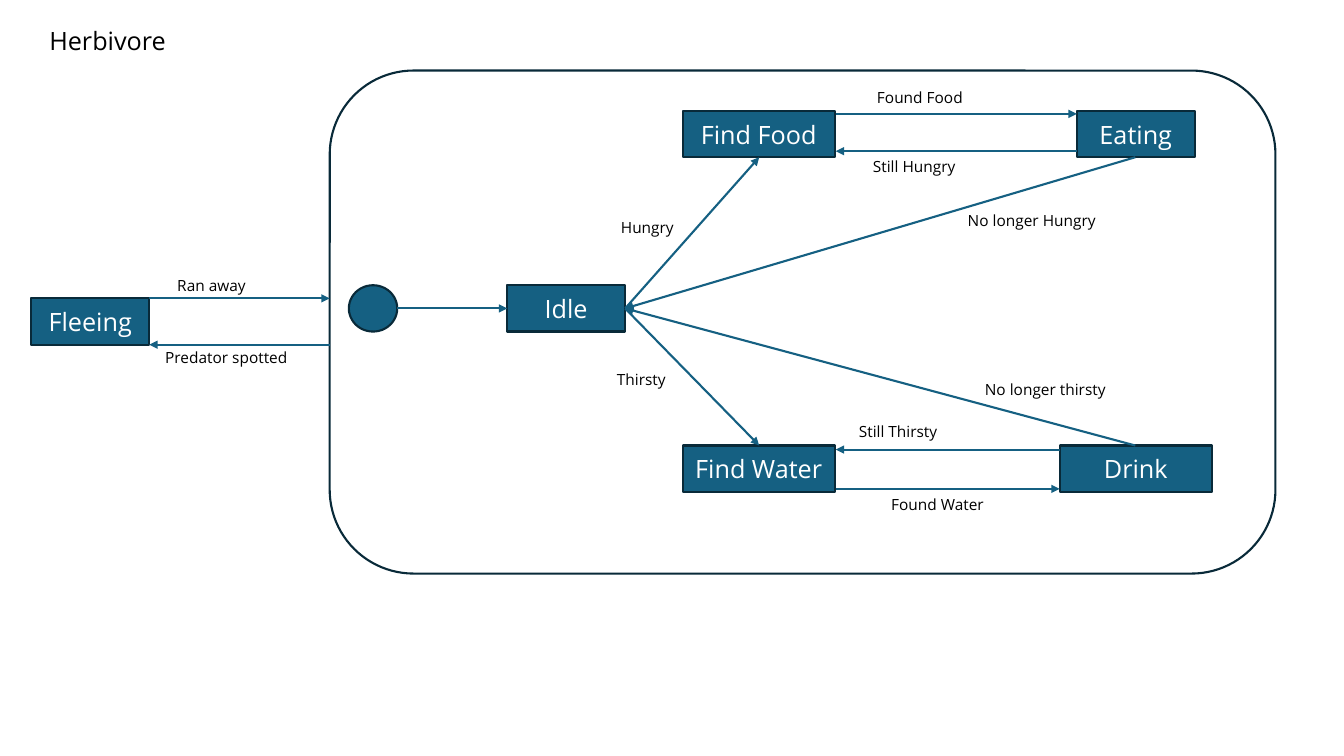
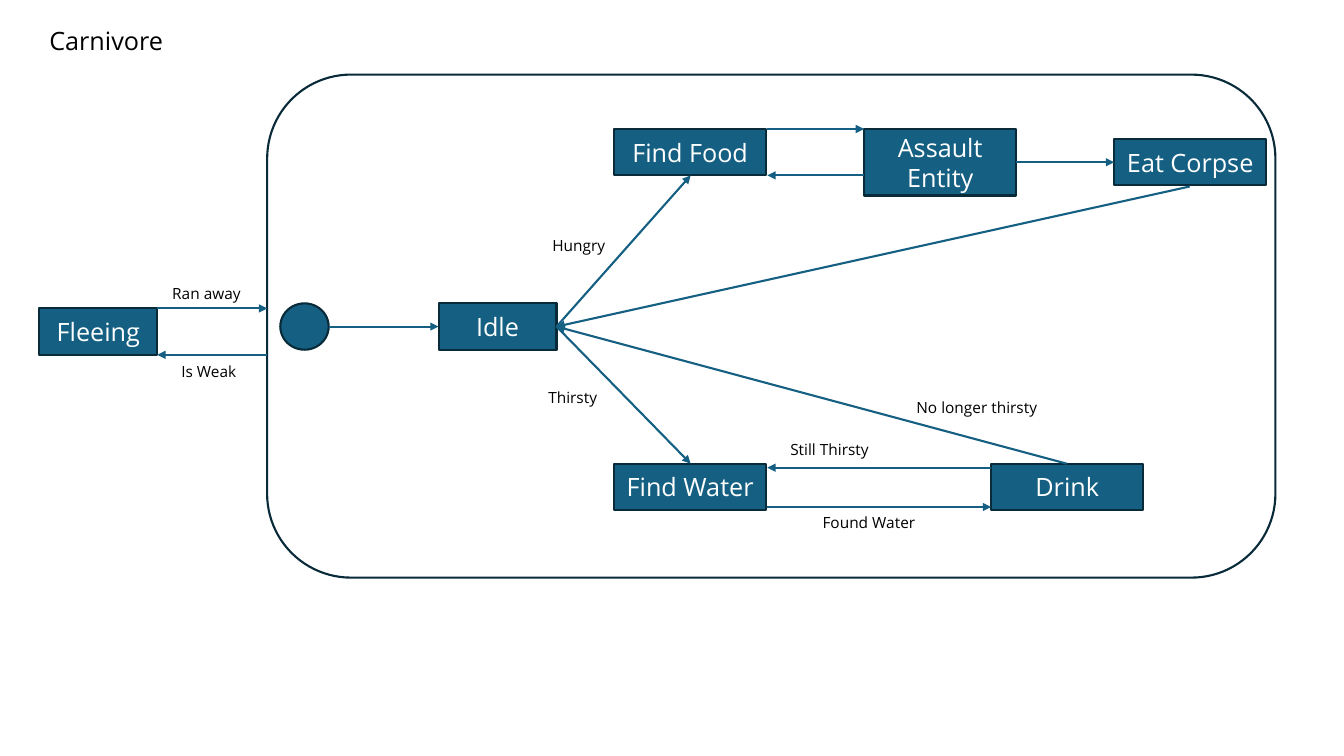
import pptx
import pptx.util
import pptx.dml.color
import pptx.enum.shapes
import pptx.enum.text
import pptx.oxml.ns
import lxml.etree

Inches = pptx.util.Inches
SHAPES = pptx.enum.shapes.MSO_SHAPE
COLOURS = {"state": "156082", "outline": "092A39", "white": "FFFFFF", "black": "000000"}
FONT = "Open Sans"
LINE_WIDTH = pptx.util.Pt(1.5)
NARROW, WIDE, STATE_HEIGHT = 1.17, 1.51, 0.46
LABEL_WIDTH, LABEL_HEIGHT = 1.8, 0.29


def rgb(name):
    return pptx.dml.color.RGBColor.from_string(COLOURS[name])


def add_box(page, text, left, top, width, height, kind=None, fill="state", size=18, colour="white"):
    place = [Inches(value) for value in (left, top, width, height)]
    if kind is None:
        box = page.shapes.add_textbox(*place)
    else:
        box = page.shapes.add_shape(kind, *place)
        box.shadow.inherit = False
        box.fill.solid()
        box.fill.fore_color.rgb = rgb(fill)
        box.line.color.rgb = rgb("outline")
        box.line.width = LINE_WIDTH
    if text:
        frame = box.text_frame
        frame.word_wrap = True
        para = frame.paragraphs[0]
        if kind is None:
            frame.auto_size = pptx.enum.text.MSO_AUTO_SIZE.SHAPE_TO_FIT_TEXT
        else:
            frame.vertical_anchor = pptx.enum.text.MSO_ANCHOR.MIDDLE
            para.alignment = pptx.enum.text.PP_ALIGN.CENTER
        span = para.add_run()
        span.text = text
        span.font.name = FONT
        span.font.size = pptx.util.Pt(size)
        span.font.color.rgb = rgb(colour)


core_states = [
    ("Idle", 5.03, 2.83, NARROW),
    ("Find Food", 6.77, 1.1, WIDE),
    ("Find Water", 6.77, 4.42, WIDE),
    ("Drink", 10.51, 4.42, WIDE),
]
core_arrows = [
    (3.94, 3.06, 5.03, 3.06),
    (6.2, 3.06, 7.53, 1.56),
    (6.2, 3.06, 7.53, 4.42),
    (8.29, 4.85, 10.51, 4.85),
    (10.51, 4.46, 8.29, 4.46),
    (11.26, 4.42, 6.2, 3.06),
]
core_labels = [
    ("Hungry", 6.06, 2.11),
    ("Thirsty", 6.02, 3.62),
    ("Found Water", 8.74, 4.86),
    ("Still Thirsty", 8.42, 4.14),
    ("No longer thirsty", 9.67, 3.72),
]

diagrams = [
    {
        "title": "Herbivore",
        "frame": (3.27, 0.7, 9.38, 4.99),
        "shift": (0, 0),
        "fleeing": (0.31, 2.96),
        "states": [("Eating", 10.68, 1.1, NARROW, STATE_HEIGHT)],
        "arrows": [
            (8.29, 1.13, 10.68, 1.13),
            (10.68, 1.5, 8.29, 1.5),
            (11.26, 1.56, 6.2, 3.06),
        ],
        "labels": [
            ("Ran away", 1.66, 2.69),
            ("Predator spotted", 1.54, 3.4),
            ("Found Food", 8.6, 0.82),
            ("Still Hungry", 8.56, 1.51),
            ("No longer Hungry", 9.5, 2.04),
        ],
    },
    {
        "title": "Carnivore",
        "frame": (2.65, 0.74, 10, 4.99),
        "shift": (-0.68, 0.18),
        "fleeing": (0.39, 3.06),
        "states": [
            ("Assault Entity", 8.57, 1.28, WIDE, 0.66),
            ("Eat Corpse", 11.05, 1.38, WIDE, STATE_HEIGHT),
        ],
        "arrows": [
            (7.61, 1.28, 8.57, 1.28),
            (8.57, 1.74, 7.61, 1.74),
            (10.08, 1.61, 11.05, 1.61),
            (11.8, 1.85, 5.52, 3.24),
        ],
        "labels": [("Ran away", 1.61, 2.77), ("Is Weak", 1.7, 3.54)],
    },
]

deck = pptx.Presentation()
deck.slide_width = Inches(13.33)
deck.slide_height = Inches(7.5)

for diagram in diagrams:
    page = deck.slides.add_slide(deck.slide_layouts[6])
    dx, dy = diagram["shift"]
    fleeing_left, fleeing_top = diagram["fleeing"]
    fleeing_right, fleeing_bottom = fleeing_left + NARROW, fleeing_top + STATE_HEIGHT
    frame_left = diagram["frame"][0]

    add_box(page, "", *diagram["frame"], kind=SHAPES.ROUNDED_RECTANGLE, fill="white")
    add_box(page, "", 3.46 + dx, 2.83 + dy, 0.48, STATE_HEIGHT, kind=SHAPES.OVAL)

    states = [(text, x + dx, y + dy, width, STATE_HEIGHT) for text, x, y, width in core_states]
    states.append(("Fleeing", fleeing_left, fleeing_top, NARROW, STATE_HEIGHT))
    for state in states + diagram["states"]:
        add_box(page, *state, kind=SHAPES.RECTANGLE)

    arrows = [(x1 + dx, y1 + dy, x2 + dx, y2 + dy) for x1, y1, x2, y2 in core_arrows]
    arrows.append((fleeing_right, fleeing_top, frame_left, fleeing_top))
    arrows.append((frame_left, fleeing_bottom, fleeing_right, fleeing_bottom))
    for ends in arrows + diagram["arrows"]:
        arrow = page.shapes.add_connector(
            pptx.enum.shapes.MSO_CONNECTOR.STRAIGHT, *[Inches(value) for value in ends]
        )
        arrow.line.color.rgb = rgb("state")
        arrow.line.width = LINE_WIDTH
        head = lxml.etree.SubElement(arrow.line._get_or_add_ln(), pptx.oxml.ns.qn("a:tailEnd"))
        head.set("type", "triangle")
        lxml.etree.SubElement(arrow._element.spPr, pptx.oxml.ns.qn("a:effectLst"))

    labels = [(text, x + dx, y + dy) for text, x, y in core_labels]
    for label in labels + diagram["labels"]:
        add_box(page, *label, LABEL_WIDTH, LABEL_HEIGHT, size=11, colour="black")

    add_box(page, diagram["title"], 0.39, 0.2, 2.05, 0.4, colour="black")

deck.save("out.pptx")
